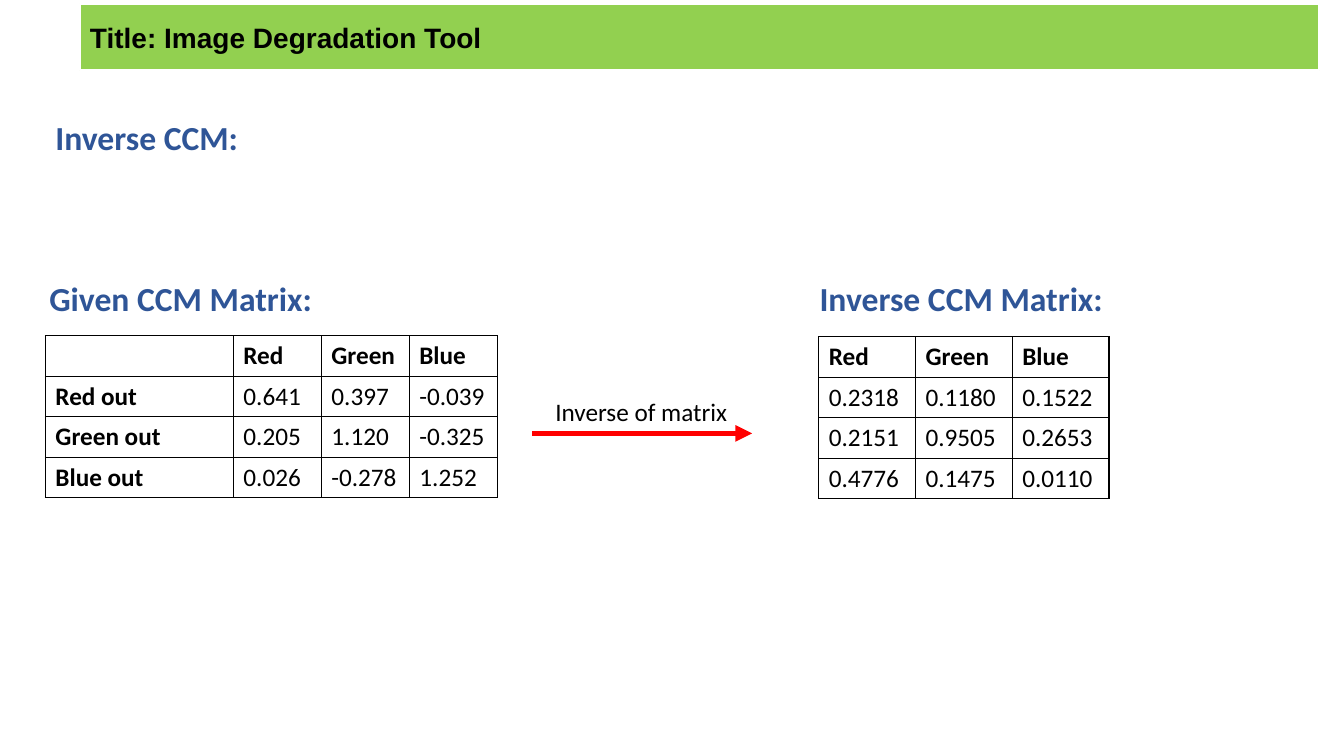
import pptx
import pptx.util
import pptx.dml.color
import pptx.enum.shapes
import pptx.enum.text
import pptx.oxml
import pptx.oxml.ns

NS = pptx.oxml.ns.nsdecls("a")
BLACK, WHITE, BLUE, GREEN, RED = "000000", "FFFFFF", "2F5597", "92D050", "FF0000"
HEAD = {"name": "Calibri", "size": 24, "bold": True, "color": BLUE}
BODY = {"name": "Calibri", "size": 18, "bold": False, "color": BLACK}
TITLE = {"name": "Arial", "size": 20, "bold": True, "color": BLACK}

GIVEN = [
    ["", "Red", "Green", "Blue"],
    ["Red out", "0.641", "0.397", "-0.039"],
    ["Green out", "0.205", "1.120", "-0.325"],
    ["Blue out", "0.026", "-0.278", "1.252"],
]
INVERSE = [
    ["Red", "Green", "Blue"],
    ["0.2318", "0.1180", "0.1522"],
    ["0.2151", "0.9505", "0.2653"],
    ["0.4776", "0.1475", "0.0110"],
]


def tint(code):
    return pptx.dml.color.RGBColor.from_string(code)


class Deck:
    def __init__(self):
        self.show = pptx.Presentation()
        self.show.slide_width = pptx.util.Inches(13.33)
        self.show.slide_height = pptx.util.Inches(7.5)
        self.slide = self.show.slides.add_slide(self.show.slide_layouts[6])
        self.shapes = self.slide.shapes

    def across(self, share):
        return int(self.show.slide_width * share / 100)

    def down(self, share):
        return int(self.show.slide_height * share / 100)

    def box(self, left, top, width, height):
        return self.across(left), self.down(top), self.across(width), self.down(height)

    def letter(self, frame, words, style):
        para = frame.paragraphs[0]
        para.alignment = pptx.enum.text.PP_ALIGN.LEFT
        run = para.add_run()
        run.text = words
        for key, value in style.items():
            if key == "color":
                run.font.color.rgb = tint(value)
            else:
                setattr(run.font, key, pptx.util.Pt(value) if key == "size" else value)

    def banner(self, words, place):
        bar = self.shapes.add_shape(pptx.enum.shapes.MSO_SHAPE.RECTANGLE, *self.box(*place))
        bar.shadow.inherit = False
        bar.fill.solid()
        bar.fill.fore_color.rgb = tint(GREEN)
        bar.line.color.rgb = tint(WHITE)
        bar.line.width = pptx.util.Pt(1.5)
        bar.text_frame.vertical_anchor = pptx.enum.text.MSO_ANCHOR.MIDDLE
        self.letter(bar.text_frame, words, TITLE)

    def label(self, words, place, style=HEAD, wrap=True):
        frame = self.shapes.add_textbox(*self.box(*place)).text_frame
        frame.word_wrap = wrap
        frame.auto_size = pptx.enum.text.MSO_AUTO_SIZE.SHAPE_TO_FIT_TEXT
        self.letter(frame, words, style)

    def border(self, cell):
        props = cell._tc.get_or_add_tcPr()
        for spot, side in enumerate("LRTB"):
            props.insert(spot, pptx.oxml.parse_xml(
                f'<a:ln{side} {NS} w="12700"><a:solidFill><a:srgbClr val="{BLACK}"/>'
                f'</a:solidFill></a:ln{side}>'))

    def matrix(self, data, left, top, widths, height, side=False):
        place = self.box(left, top, sum(widths), height * len(data))
        table = self.shapes.add_table(len(data), len(widths), *place).table
        table.first_row = table.horz_banding = False
        for col, width in zip(table.columns, widths):
            col.width = self.across(width)
        for r, line in enumerate(data):
            table.rows[r].height = self.down(height)
            for c, words in enumerate(line):
                cell = table.cell(r, c)
                cell.fill.solid()
                cell.fill.fore_color.rgb = tint(WHITE)
                self.border(cell)
                if words:
                    bold = r == 0 or (side and c == 0)
                    self.letter(cell.text_frame, words, {**BODY, "bold": bold})

    def arrow(self, start, end, level):
        y = self.down(level)
        link = self.shapes.add_connector(
            pptx.enum.shapes.MSO_CONNECTOR.STRAIGHT, self.across(start), y, self.across(end), y)
        link.line.color.rgb = tint(RED)
        link.line.width = pptx.util.Pt(4)
        link.line._get_or_add_ln().append(pptx.oxml.parse_xml(f'<a:tailEnd {NS} type="triangle"/>'))
        link._element.spPr.append(pptx.oxml.parse_xml(f"<a:effectLst {NS}/>"))


def main():
    deck = Deck()
    deck.banner("Title: Image Degradation Tool", (5.95, 0.53, 92.2, 8.8))
    deck.label("Inverse CCM:", (3.38, 14.8, 50, 6.67))
    deck.matrix(GIVEN, 3.38, 44.4, [13.98] + [6.55] * 3, 5.36, side=True)
    deck.label("Given CCM Matrix:", (2.93, 36.13, 50, 6.67))
    deck.arrow(39.6, 55.96, 57.33)
    deck.label("Inverse of matrix", (40.58, 51.73, 14.4, 5.33), BODY, wrap=False)
    deck.matrix(INVERSE, 60.92, 44.53, [7.2] * 3, 5.36)
    deck.label("Inverse CCM Matrix:", (60.24, 36.13, 33.46, 6.67))
    deck.show.save("out.pptx")


if __name__ == "__main__":
    main()
